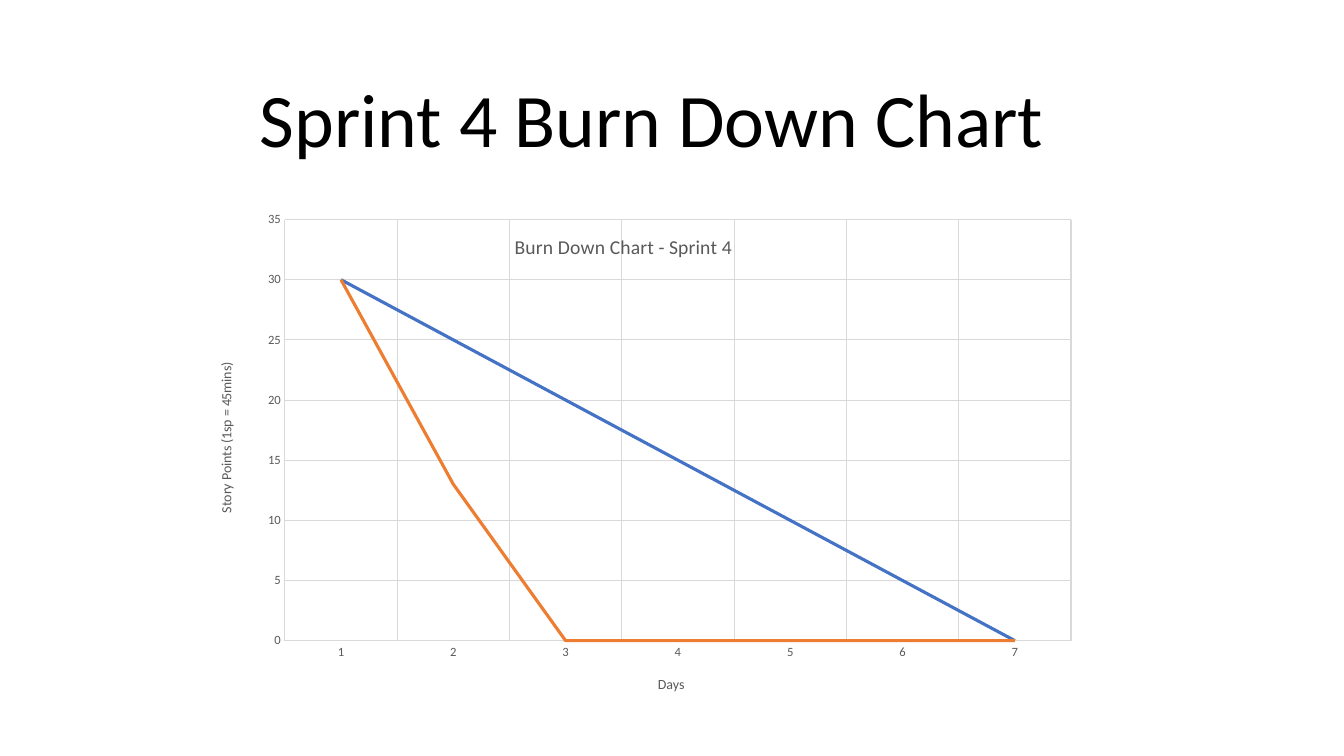
from lxml.etree import SubElement
from pptx import Presentation
from pptx.chart.data import CategoryChartData
from pptx.dml.color import RGBColor
from pptx.enum.chart import XL_CHART_TYPE, XL_MARKER_STYLE, XL_TICK_MARK
from pptx.enum.text import MSO_AUTO_SIZE
from pptx.oxml import parse_xml
from pptx.oxml.ns import nsdecls, qn
from pptx.util import Pt

HEADING = {"text": "Sprint 4 Burn Down Chart", "box": (178.5, 47.5, 592.5, 72.7)}
CHART_BOX = (121, 149.75, 644.4, 373.7)
PLOT = {"layoutTarget": "inner", "xMode": "edge", "yMode": "edge",
        "x": 0.128, "y": 0.019, "w": 0.872, "h": 0.805}
CHART_TITLE = {"text": "Burn Down Chart - Sprint 4", "size": 14, "at": (0.379, 0.039)}
DAYS_TITLE = {"text": "Days", "size": 10, "at": (0.539, 0.885)}
POINTS_TITLE = {"text": "Story Points (1sp = 45mins)", "size": 10, "at": (0.05, 0.287)}
DAYS = ["1", "2", "3", "4", "5", "6", "7"]
SERIES = [
    ("Series 1", [30, 25, 20, 15, 10, 5, 0], "4472C4"),
    ("Series 2", [30, 13, 0, 0, 0, 0, 0], "ED7D31"),
]
GREY, GRID, BLACK = "595959", "D9D9D9", "000000"
AXIS_FORMAT = {
    "has_major_gridlines": True,
    "major_tick_mark": XL_TICK_MARK.NONE,
    "minor_tick_mark": XL_TICK_MARK.NONE,
}
SCALE_FORMAT = {"minimum_scale": 0, "maximum_scale": 35, "major_unit": 5}


def apply(target, values):
    for key, value in values.items():
        setattr(target, key, value)


def color(hex_value):
    return RGBColor.from_string(hex_value)


def style_font(font, size, hex_value):
    apply(font, {"name": "Calibri", "size": Pt(size), "bold": False})
    font.color.rgb = color(hex_value)


def style_line(line, width, hex_value):
    line.width = Pt(width)
    line.color.rgb = color(hex_value)


def place(element, values):
    layout = element.find(qn("c:layout"))
    if layout is None:
        layout = parse_xml(f"<c:layout {nsdecls('c')}/>")
        element.insert(0, layout)
    manual = SubElement(layout, qn("c:manualLayout"))
    for key, value in values.items():
        SubElement(manual, qn(f"c:{key}")).set("val", str(value))


def write_title(title, content):
    title.text_frame.text = content["text"]
    run = title.text_frame.paragraphs[0].runs[0]
    style_font(run.font, content["size"], GREY)
    left, top = content["at"]
    place(title._element, {"xMode": "edge", "yMode": "edge", "x": left, "y": top})


def add_burn_down(slide):
    data = CategoryChartData()
    data.categories = DAYS
    for name, values, _ in SERIES:
        data.add_series(name, values)
    chart = slide.shapes.add_chart(
        XL_CHART_TYPE.LINE, *map(Pt, CHART_BOX), data).chart
    chart.has_legend = False
    style_font(chart.font, 10, BLACK)
    write_title(chart.chart_title, CHART_TITLE)
    chart.chart_title._element.find(qn("c:overlay")).set("val", "1")
    place(chart._chartSpace.chart.plotArea, PLOT)
    for axis, title in ((chart.category_axis, DAYS_TITLE), (chart.value_axis, POINTS_TITLE)):
        apply(axis, AXIS_FORMAT)
        style_font(axis.tick_labels.font, 9, GREY)
        style_line(axis.major_gridlines.format.line, 0.75, GRID)
        write_title(axis.axis_title, title)
    style_line(chart.category_axis.format.line, 0.75, GRID)
    apply(chart.value_axis, SCALE_FORMAT)
    chart.value_axis.format.line.fill.background()
    chart.plots[0].vary_by_categories = False
    for series, (_, _, hex_value) in zip(chart.plots[0].series, SERIES):
        series.smooth = False
        series.marker.style = XL_MARKER_STYLE.NONE
        style_line(series.format.line, 2.25, hex_value)


def add_heading(slide):
    frame = slide.shapes.add_textbox(*map(Pt, HEADING["box"])).text_frame
    apply(frame, {"word_wrap": False, "auto_size": MSO_AUTO_SIZE.SHAPE_TO_FIT_TEXT})
    run = frame.paragraphs[0].add_run()
    run.text = HEADING["text"]
    style_font(run.font, 54, BLACK)


def main():
    deck = Presentation()
    apply(deck, {"slide_width": Pt(960), "slide_height": Pt(540)})
    slide = deck.slides.add_slide(deck.slide_layouts[6])
    add_burn_down(slide)
    add_heading(slide)
    deck.save("out.pptx")


if __name__ == "__main__":
    main()
